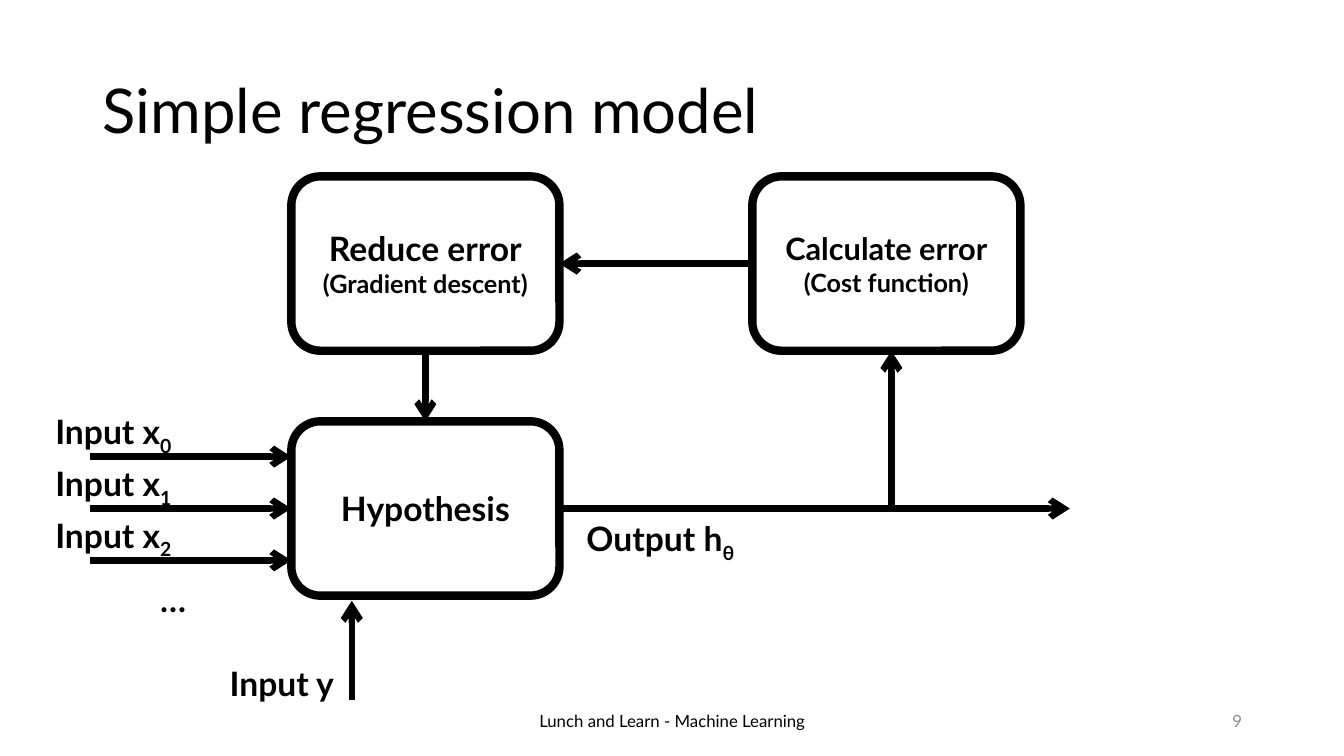
from lxml import etree
from pptx import Presentation
from pptx import util as u
from pptx.dml.color import RGBColor
from pptx.enum import shapes, text
from pptx.oxml import ns

BLACK = RGBColor(0, 0, 0)
WHITE = RGBColor(255, 255, 255)
GRAY = RGBColor(0x8C, 0x8C, 0x8C)
FONT = "Lato"
WIDTH, HEIGHT = u.Inches(13.33), u.Inches(7.5)
COLUMNS, ROWS = 40, 30
NODE_W, NODE_H = 7.98, 6.92
LABEL_W, LABEL_H = 7.08, 2


def col(n):
    return round(WIDTH * n / COLUMNS)


def row(n):
    return round(HEIGHT * n / ROWS)


def place(x, y, w, h):
    return col(x), row(y), col(w), row(h)


def style(r, size, color=BLACK, bold=False):
    r.font.name = FONT
    r.font.size = u.Pt(size)
    r.font.bold = bold
    r.font.color.rgb = color


def add_text(s, box, words, size, color=BLACK, bold=False,
             align=text.PP_ALIGN.LEFT, anchor=text.MSO_ANCHOR.TOP):
    tf = s.shapes.add_textbox(*place(*box)).text_frame
    tf.word_wrap = True
    tf.vertical_anchor = anchor
    p = tf.paragraphs[0]
    p.text = words
    p.alignment = align
    style(p.runs[0], size, color, bold)
    return p


def add_label(s, x, y, words, subscript="", width=LABEL_W):
    p = add_text(s, (x, y, width, LABEL_H), words, 24, bold=True)
    if subscript:
        r = p.add_run()
        r.text = subscript
        style(r, 24, bold=True)
        r.font._element.set("baseline", "-25000")


def add_node(s, x, y, words, sizes):
    sp = s.shapes.add_shape(shapes.MSO_SHAPE.ROUNDED_RECTANGLE,
                            *place(x, y, NODE_W, NODE_H))
    sp.shadow.inherit = False
    sp.fill.solid()
    sp.fill.fore_color.rgb = WHITE
    sp.line.color.rgb = BLACK
    sp.line.width = u.Pt(6)
    tf = sp.text_frame
    tf.vertical_anchor = text.MSO_ANCHOR.MIDDLE
    p = tf.paragraphs[0]
    p.text = words
    p.alignment = text.PP_ALIGN.CENTER
    for r, size in zip(p.runs, sizes):
        style(r, size, bold=True)
    return sp


def add_arrow(s, x1, y1, x2, y2, begin=None, end=None):
    c = s.shapes.add_connector(shapes.MSO_CONNECTOR.STRAIGHT,
                               col(x1), row(y1), col(x2), row(y2))
    if begin:
        c.begin_connect(*begin)
    if end:
        c.end_connect(*end)
    c.line.color.rgb = BLACK
    c.line.width = u.Pt(4.5)
    spPr = c._element.spPr
    ln = spPr.find(ns.qn("a:ln"))
    etree.SubElement(ln, ns.qn("a:tailEnd"), type="arrow")
    etree.SubElement(spPr, ns.qn("a:effectLst"))


def add_title(s, box):
    sp = s.shapes.title
    sp.left, sp.top, sp.width, sp.height = place(*box)
    tf = sp.text_frame
    tf.text = "Simple regression model"
    tf.auto_size = text.MSO_AUTO_SIZE.NONE
    tf.vertical_anchor = text.MSO_ANCHOR.MIDDLE
    p = tf.paragraphs[0]
    p.alignment = text.PP_ALIGN.LEFT
    p.line_spacing = 0.9
    style(p.runs[0], 44)


def add_footer(s, box):
    x, y, w, h = box
    middle = text.MSO_ANCHOR.MIDDLE
    add_text(s, (x, y, 13.5, h), "Lunch and Learn - Machine Learning", 12,
             align=text.PP_ALIGN.CENTER, anchor=middle)
    add_text(s, (x + w - 9, y, 9, h), "9", 12, GRAY,
             align=text.PP_ALIGN.RIGHT, anchor=middle)


def add_training_loop(s, box):
    x, y = box
    right, below = x + 13.72, y + 9.72
    output = below + NODE_H / 2
    hypothesis = add_node(s, x, below, "Hypothesis", [24])
    calculate = add_node(s, right, y, "Calculate error\v(Cost function)", [22, 18])
    reduce = add_node(s, x, y, "Reduce error\v(Gradient descent)", [24, 18])
    add_label(s, x + 8.49, output + 0.18, "Output h", "θ")
    add_arrow(s, x + NODE_W, output, x + 23.17, output, begin=(hypothesis, 3))
    add_arrow(s, right, y + NODE_H / 2, x + NODE_W, y + NODE_H / 2,
              begin=(calculate, 1), end=(reduce, 3))
    add_arrow(s, x + NODE_W / 2, y + NODE_H, x + NODE_W / 2, below,
              begin=(reduce, 2), end=(hypothesis, 0))
    add_arrow(s, x + 17.86, output, x + 17.86, y + NODE_H)
    return hypothesis


def add_inputs(s, box, hypothesis):
    x, y = box
    pitch = 2.06
    for i in range(3):
        add_label(s, x, y + i * pitch, "Input x", str(i))
        level = y + 4.06 + (i - 1) * pitch
        add_arrow(s, x + 1.32, level, x + 7.32, level,
                  end=(hypothesis, 1) if i == 1 else None)
    add_label(s, x + 3.12, y + 6.64, "…", width=3.27)
    add_label(s, x + 5.19, y + 10, "Input y")
    add_arrow(s, x + 9.12, y + 11.64, x + 9.12, y + 7.72)


def main():
    prs = Presentation()
    prs.slide_width, prs.slide_height = WIDTH, HEIGHT
    s = prs.slides.add_slide(prs.slide_layouts[5])
    add_title(s, (2.76, 1.6, 34.5, 5.8))
    add_footer(s, (13.26, 27.8, 24, 1.6))
    hypothesis = add_training_loop(s, (8.67, 7))
    add_inputs(s, (1.35, 16.12), hypothesis)
    prs.save("out.pptx")


if __name__ == "__main__":
    main()
